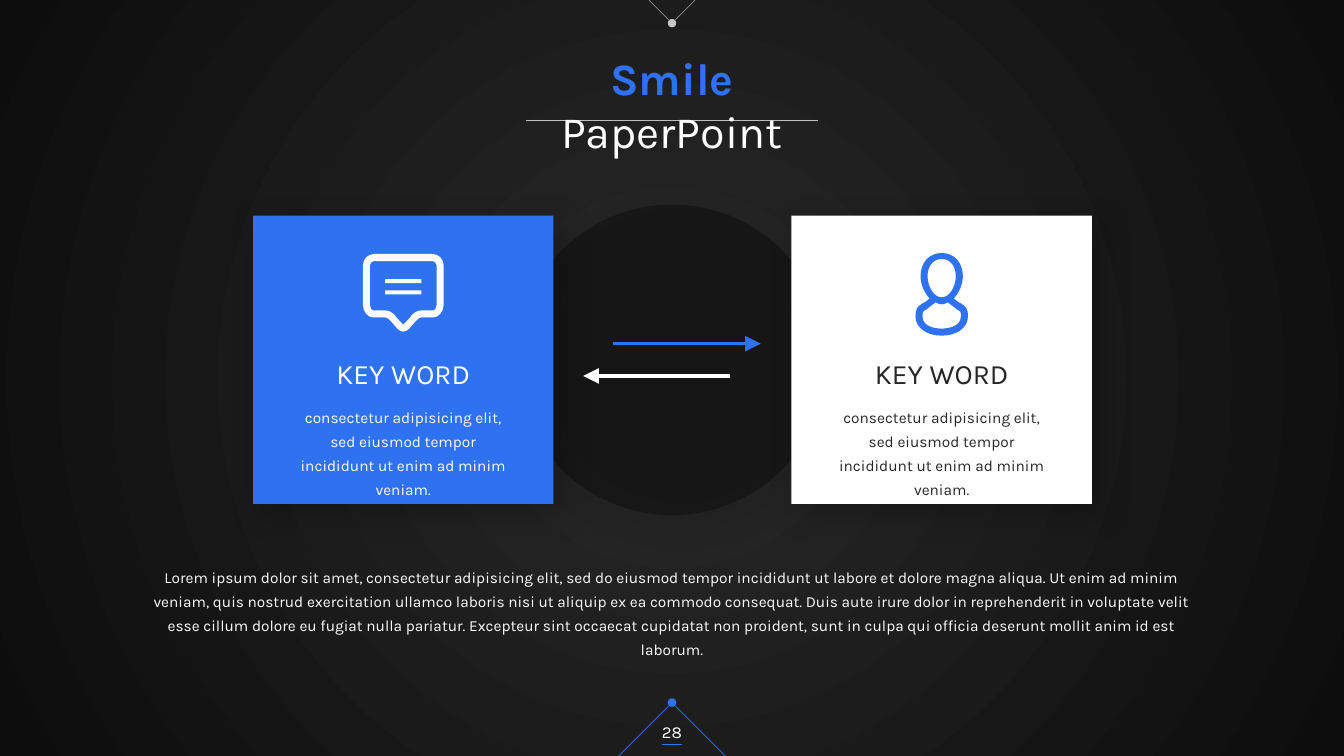
from lxml.etree import SubElement
from pptx import Presentation
from pptx.dml.color import RGBColor
from pptx.enum.shapes import MSO_CONNECTOR, MSO_SHAPE
from pptx.enum.text import MSO_ANCHOR, PP_ALIGN
from pptx.oxml.ns import qn
from pptx.util import Inches, Pt

BLUE, WHITE, DARK, GREY = "2E72F1", "FFFFFF", "262626", "BFBFBF"
WIDTH, HEIGHT = 13.33, 7.5
MIDDLE = WIDTH / 2

BUBBLE = [
    [[(0, 0)], [(29, 0)], [(35, 0), (40, 5), (40, 11)], [(40, 51)],
     [(40, 57), (35, 63), (30, 63)], [(18, 63)], [(16, 63), (15, 64), (14, 65)],
     [(13, 66), (9, 70), (6, 74)], [(4, 76), (2, 77), (0, 77)]],
    [[(0, 7)], [(29, 7)], [(31, 7), (33, 9), (33, 11)], [(33, 51)],
     [(33, 54), (31, 56), (30, 56)], [(18, 56)], [(14, 56), (11, 58), (8, 61)],
     [(8, 62), (5, 65), (1, 69)], [(1, 70), (0, 70), (0, 70)]],
]
PERSON = [
    [[(0, 0)], [(12, 0), (21, 9), (21, 23)], [(21, 31), (17, 40), (12, 45)],
     [(15, 48), (17, 49), (19, 50)], [(24, 53), (26, 55), (26, 63)],
     [(26, 74), (15, 82), (0, 82)]],
    [[(0, 6)], [(10, 6), (14, 15), (14, 23)], [(14, 33), (8, 44), (0, 44)]],
    [[(0, 51)], [(2, 51), (4, 50), (6, 49)], [(10, 52), (13, 54), (15, 56)],
     [(19, 58), (19, 58), (19, 63)], [(19, 74), (4, 75), (0, 75)]],
]
CARD_TEXT = "consectetur adipisicing elit, sed eiusmod tempor incididunt ut enim ad minim veniam."
BODY_TEXT = (
    "Lorem ipsum dolor sit amet, consectetur adipisicing elit, sed do eiusmod tempor "
    "incididunt ut labore et dolore magna aliqua. Ut enim ad minim veniam, quis nostrud "
    "exercitation ullamco laboris nisi ut aliquip ex ea commodo consequat. Duis aute irure "
    "dolor in reprehenderit in voluptate velit esse cillum dolore eu fugiat nulla pariatur. "
    "Excepteur sint occaecat cupidatat non proident, sunt in culpa qui officia deserunt "
    "mollit anim id est laborum.")


def rgb(value):
    return RGBColor.from_string(value)


def set_alpha(fill, percent):
    color = next(fill.fore_color._xFill.iter(qn("a:srgbClr")))
    SubElement(color, qn("a:alpha"), val=str(percent * 1000))


def style_shape(sp, color):
    sp.shadow.inherit = False
    sp.fill.solid()
    sp.fill.fore_color.rgb = rgb(color)
    sp.line.fill.background()
    return sp


def add_block(shapes, kind, box, color):
    return style_shape(shapes.add_shape(kind, *map(Inches, box)), color)


def add_shadow(sp):
    effects = sp._element.spPr.find(qn("a:effectLst"))
    shadow = SubElement(effects, qn("a:outerShdw"), blurRad=str(Pt(23)), dist=str(Pt(9)),
                        dir="2700000", algn="tl", rotWithShape="0")
    color = SubElement(shadow, qn("a:srgbClr"), val="000000")
    SubElement(color, qn("a:alpha"), val="25000")


def add_line(shapes, start, end, color, width=0.5, alpha=None, tail=None, tail_size="med"):
    line = shapes.add_connector(MSO_CONNECTOR.STRAIGHT, *map(Inches, start + end))
    line.line.color.rgb = rgb(color)
    line.line.width = Pt(width)
    if alpha:
        set_alpha(line.line.fill, alpha)
    if tail:
        SubElement(line.line._ln, qn("a:tailEnd"), type=tail, w=tail_size, len=tail_size)
    SubElement(line._element.spPr, qn("a:effectLst"))


def add_text(shapes, box, runs, size, spacing=1.0, anchor=MSO_ANCHOR.TOP):
    tf = shapes.add_textbox(*map(Inches, box)).text_frame
    tf.word_wrap = True
    tf.vertical_anchor = anchor
    p = tf.paragraphs[0]
    for name, value in {"alignment": PP_ALIGN.CENTER, "line_spacing": spacing}.items():
        setattr(p, name, value)
    for text, color, bold in runs:
        r = p.add_run()
        r.text = text
        r.font.color.rgb = rgb(color)
        for name, value in {"name": "Karla", "size": Pt(size), "bold": bold}.items():
            setattr(r.font, name, value)


def full_outline(half):
    ends = [segment[-1] for segment in half]
    mirrored = [list(reversed([start] + segment[:-1]))
                for start, segment in zip(ends, half[1:])]
    return half + [[(-x, y) for x, y in segment] for segment in reversed(mirrored)]


def add_icon(shapes, center, top, outlines, color):
    def place(point):
        return Inches(center + point[0] / 100), Inches(top + point[1] / 100)

    builder, segments = None, []
    for half in outlines:
        outline = full_outline(half)
        anchors = [place(segment[-1]) for segment in outline]
        if builder is None:
            builder = shapes.build_freeform(*anchors[0])
        else:
            builder.move_to(*anchors[0])
        builder.add_line_segments(anchors[1:], close=False)
        segments += outline[1:]
    sp = style_shape(builder.convert_to_shape(), color)
    for line, segment in zip(list(sp._element.iter(qn("a:lnTo"))), segments):
        if len(segment) == 3:
            line.tag = qn("a:cubicBezTo")
            for index, point in enumerate(segment[:-1]):
                x, y = place(point)
                pt = SubElement(line, qn("a:pt"), x=str(x - sp.left), y=str(y - sp.top))
                line.insert(index, pt)
    outline_path = next(sp._element.iter(qn("a:path")))
    for move in list(outline_path.iter(qn("a:moveTo")))[1:]:
        move.addprevious(SubElement(outline_path, qn("a:close")))
    SubElement(outline_path, qn("a:close"))


def add_chat_icon(shapes, center, top, color):
    group = shapes.add_group_shape().shapes
    add_icon(group, center, top, BUBBLE, color)
    for offset in (0.25, 0.36):
        add_block(group, MSO_SHAPE.RECTANGLE, (center - 0.18, top + offset, 0.36, 0.04), color)


def add_person_icon(shapes, center, top, color):
    add_icon(shapes, center, top - 0.01, PERSON, color)


def add_background(shapes):
    sp = add_block(shapes, MSO_SHAPE.RECTANGLE, (0, 0, WIDTH, HEIGHT), DARK)
    sp.fill.gradient()
    for stop, position, color in zip(sp.fill.gradient_stops, (0.11, 1), (DARK, "0D0D0D")):
        stop.position = position
        stop.color.rgb = rgb(color)
    grad = sp._element.spPr.find(qn("a:gradFill"))
    grad.remove(grad.find(qn("a:lin")))
    circle = SubElement(grad, qn("a:path"), path="circle")
    SubElement(circle, qn("a:fillToRect"), l="50000", t="50000", r="50000", b="50000")


def add_chevron(shapes, tip_y, edge_y, color, alpha=None):
    group = shapes.add_group_shape().shapes
    reach = abs(edge_y - tip_y)
    for side in (-1, 1):
        add_line(group, (MIDDLE + side * reach, edge_y), (MIDDLE, tip_y), color,
                 alpha=alpha, tail="oval")


def add_header(shapes):
    add_line(shapes, (MIDDLE - 1.45, 1.19), (MIDDLE + 1.45, 1.19), GREY)
    add_chevron(shapes, 0.23, 0, WHITE, alpha=50)
    add_text(shapes, (4.81, 0.45, 3.71, 0.64),
             [("Smile ", BLUE, True), ("PaperPoint", WHITE, False)], 32)


def add_footer(shapes):
    add_chevron(shapes, 6.97, HEIGHT, BLUE)
    add_line(shapes, (MIDDLE - 0.1, 7.38), (MIDDLE + 0.1, 7.38), BLUE)
    add_text(shapes, (MIDDLE - 0.35, 7.06, 0.7, 0.4), [("28", WHITE, False)], 12,
             anchor=MSO_ANCHOR.MIDDLE)


def add_card(shapes, box, fill, text_color, icon, icon_color):
    left, top, width, height = box
    center = left + width / 2
    add_shadow(add_block(shapes, MSO_SHAPE.RECTANGLE, box, fill))
    icon(shapes, center, top + 0.38, icon_color)
    add_text(shapes, (center - 0.86, top + 1.35, 1.72, 0.44),
             [("KEY WORD", text_color, False)], 20)
    add_text(shapes, (center - 1.2, top + 1.8, 2.4, 0.82),
             [(CARD_TEXT, text_color, False)], 11, spacing=1.3)


def add_exchange(shapes, box):
    left, top, width, height = box
    disc = add_block(shapes, MSO_SHAPE.OVAL, (MIDDLE - 1.54, top - 0.11, 3.08, 3.08), "000000")
    set_alpha(disc.fill, 33)
    add_shadow(disc)
    card_width = 2.98
    add_card(shapes, (left + width - card_width, top, card_width, height),
             WHITE, DARK, add_person_icon, BLUE)
    add_card(shapes, (left, top, card_width, height), BLUE, WHITE, add_chat_icon, WHITE)
    for side, y, color in ((1, top + 1.27, BLUE), (-1, top + 1.59, WHITE)):
        add_line(shapes, (MIDDLE - side * 0.58, y), (MIDDLE + side * 0.88, y), color,
                 width=2.25, tail="triangle", tail_size="lg")


def main():
    prs = Presentation()
    prs.slide_width, prs.slide_height = Inches(WIDTH), Inches(HEIGHT)
    shapes = prs.slides.add_slide(prs.slide_layouts[6]).shapes
    add_background(shapes)
    add_header(shapes)
    add_footer(shapes)
    add_exchange(shapes, (2.51, 2.14, 8.32, 2.86))
    add_text(shapes, (1.32, 5.53, 10.69, 0.8), [(BODY_TEXT, WHITE, False)], 11, spacing=1.3)
    prs.save("out.pptx")


if __name__ == "__main__":
    main()
